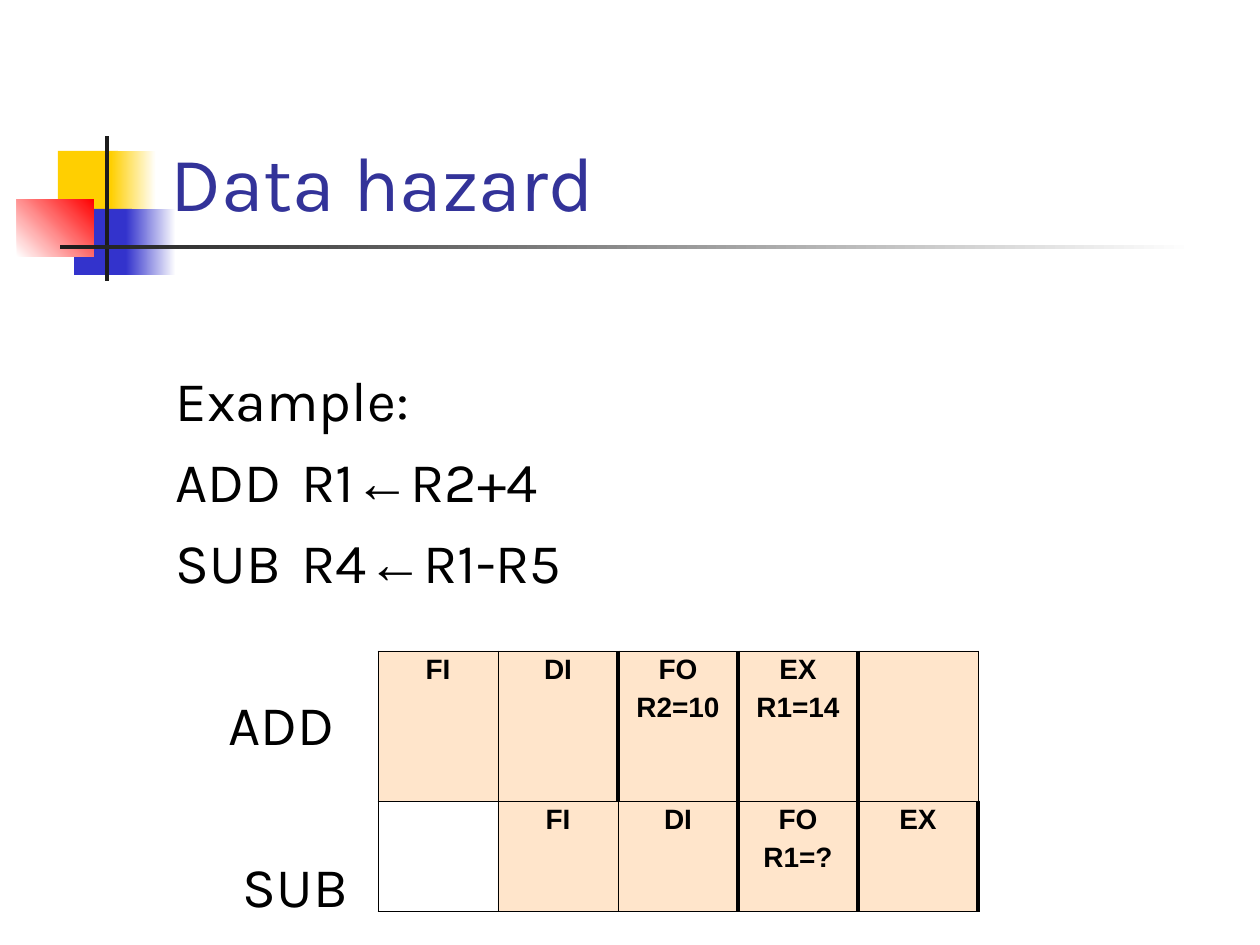
from dataclasses import dataclass

from lxml import etree
from pptx import Presentation
from pptx import util as u
from pptx.dml.color import RGBColor
from pptx.enum import shapes, text
from pptx.oxml import ns

PX = 914400 // 126


@dataclass(frozen=True)
class Theme:
    heading: str = "Karla"
    plain: str = "Arial"
    title_size: int = 44
    body_size: int = 32
    cell_size: int = 16
    title: str = "333399"
    ink: str = "000000"
    yellow: str = "FFCF01"
    blue: str = "3333CC"
    red: str = "FF0000"
    rule: str = "1C1C1C"
    white: str = "FFFFFF"
    stage: str = "FFCC99"


theme = Theme()


def write(paragraph, content, font=theme.heading, size=theme.body_size, color=theme.ink,
          bold=False, align=text.PP_ALIGN.LEFT, before=0, spacing=1.0, indent=0, tab=0):
    """Fill a paragraph with text, setting arrows in the plain font."""
    paragraph.alignment = align
    paragraph.space_before = u.Pt(before)
    paragraph.line_spacing = spacing
    properties = paragraph._p.get_or_add_pPr()
    properties.set("marL", str(indent * PX))
    properties.set("indent", "0")
    etree.SubElement(properties, ns.qn("a:buNone"))
    if tab:
        stops = etree.SubElement(properties, ns.qn("a:tabLst"))
        etree.SubElement(stops, ns.qn("a:tab"), pos=str(tab * PX), algn="l")
    before_arrow, arrow, after_arrow = content.partition("←")
    for part in filter(None, (before_arrow, arrow, after_arrow)):
        run = paragraph.add_run()
        run.text = part
        run.font.name = theme.plain if part == "←" else font
        run.font.size = u.Pt(size)
        run.font.bold = bold
        run.font.color.rgb = RGBColor.from_string(color)


def set_borders(cell, widths):
    """Give a cell its left, right, top and bottom borders, in points."""
    properties = cell._tc.get_or_add_tcPr()
    for place, (side, width) in enumerate(zip("LRTB", widths)):
        line = etree.Element(ns.qn(f"a:ln{side}"), w=str(u.Pt(width)))
        fill = etree.SubElement(line, ns.qn("a:solidFill"))
        etree.SubElement(fill, ns.qn("a:srgbClr"), val=theme.ink)
        properties.insert(place, line)


prs = Presentation()
prs.slide_width, prs.slide_height = 1260 * PX, 945 * PX
slide = prs.slides.add_slide(prs.slide_layouts[1])
title, body = slide.placeholders

# Corner ornament: box, start colour, end colour, gradient angle
ornament = [
    ((58, 151, 60, 66), theme.yellow, None, 0),
    ((111, 151, 45, 66), theme.yellow, theme.white, 0),
    ((74, 209, 58, 66), theme.blue, None, 0),
    ((126, 209, 50, 66), theme.blue, theme.white, 0),
    ((17, 199, 77, 58), theme.white, theme.red, 45),
    ((105, 136, 4, 145), theme.rule, None, 0),
    ((60, 245, 1134, 4), theme.rule, theme.white, 0),
]
for box, start, end, angle in ornament:
    block = slide.shapes.add_shape(shapes.MSO_SHAPE.RECTANGLE, *(n * PX for n in box))
    block.shadow.inherit = False
    block.line.fill.background()
    if end:
        block.fill.gradient()
        block.fill.gradient_angle = angle
        for stop, color in zip(block.fill.gradient_stops, (start, end)):
            stop.color.rgb = RGBColor.from_string(color)
    else:
        block.fill.solid()
        block.fill.fore_color.rgb = RGBColor.from_string(start)

# Title and instructions, in front of the ornament
for holder, box, anchor in (
    (title, (158, 32, 1074, 201), text.MSO_ANCHOR.BOTTOM),
    (body, (163, 359, 1071, 586), text.MSO_ANCHOR.TOP),
):
    holder.left, holder.top, holder.width, holder.height = (n * PX for n in box)
    holder.text_frame.auto_size = text.MSO_AUTO_SIZE.NONE
    holder.text_frame.vertical_anchor = anchor
    slide.shapes.element.append(holder.element)

write(title.text_frame.paragraphs[0], "Data hazard", size=theme.title_size, color=theme.title)

instructions = [
    ("Example:", {"before": 8}),
    ("ADD\tR1←R2+4", {"before": 8, "tab": 199}),
    ("SUB\tR4←R1-R5", {"before": 8, "tab": 325}),
    ("ADD", {"before": 54, "indent": 53}),
    ("SUB", {"before": 54, "indent": 67}),
]
for number, (content, layout) in enumerate(instructions):
    frame = body.text_frame
    write(frame.add_paragraph() if number else frame.paragraphs[0], content, **layout)

# Pipeline stages of the two instructions
pipeline = [
    [["FI"], ["DI"], ["FO", "R2=10"], ["EX", "R1=14"], []],
    [[], ["FI"], ["DI"], ["FO", "R1=?"], ["EX"]],
]
row_heights = (150, 110)
THIN, THICK = 0.45, 3
table = slide.shapes.add_table(2, 5, 378 * PX, 651 * PX, 600 * PX, sum(row_heights) * PX).table
table.first_row = table.horz_banding = False
for column in table.columns:
    column.width = 120 * PX

for r, stages in enumerate(pipeline):
    table.rows[r].height = row_heights[r] * PX
    for c, lines in enumerate(stages):
        cell = table.cell(r, c)
        cell.margin_left = cell.margin_right = cell.margin_top = cell.margin_bottom = 6 * PX
        if c < r:
            cell.fill.background()
        else:
            cell.fill.solid()
            cell.fill.fore_color.rgb = RGBColor.from_string(theme.stage)
            tint = cell._tc.tcPr.find(".//" + ns.qn("a:srgbClr"))
            etree.SubElement(tint, ns.qn("a:alpha"), val="50000")
        sides = [THICK if 2 <= edge - r <= 4 else THIN for edge in (c, c + 1)]
        set_borders(cell, sides + [THIN, THIN])
        for number, line in enumerate(lines):
            frame = cell.text_frame
            write(frame.add_paragraph() if number else frame.paragraphs[0], line,
                  font=theme.plain, size=theme.cell_size, bold=True,
                  align=text.PP_ALIGN.CENTER, before=6, spacing=0.9)

prs.save("out.pptx")
